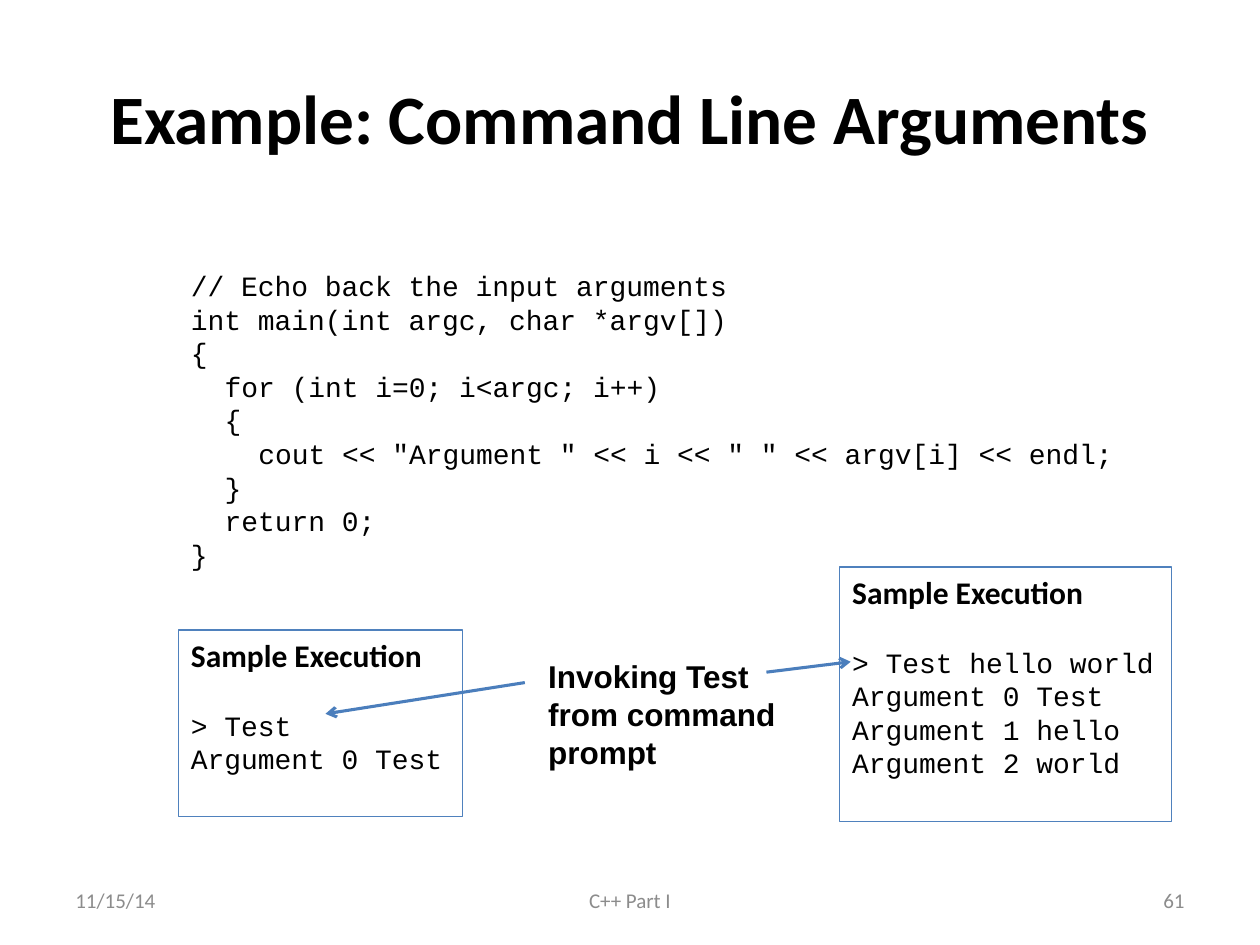
"""Build the slide on echoing command line arguments in C++."""
from lxml import etree
from pptx import Presentation
from pptx.dml.color import RGBColor
from pptx.enum.shapes import MSO_CONNECTOR, MSO_SHAPE
from pptx.enum.text import MSO_ANCHOR, PP_ALIGN
from pptx.oxml.ns import qn
from pptx.util import Cm, Pt

LEFT, MID, RIGHT = PP_ALIGN.LEFT, PP_ALIGN.CENTER, PP_ALIGN.RIGHT
TOP, CENTER = MSO_ANCHOR.TOP, MSO_ANCHOR.MIDDLE
RECT, LINE = MSO_SHAPE.RECTANGLE, MSO_CONNECTOR.STRAIGHT

THEME = {
    "ink": "000000", "gray": "8C8C8C", "edge": "4F81BD", "arrow": "4B7EBC",
    "title": 39.6, "head": 18, "code": 16, "foot": 12,
    "sans": "Calibri", "mono": "Courier New", "note": "Arial",
    "thin": 0.75, "thick": 1.75, "lead": 1.2, "gap": 19.5, "step": 0.68,
}

TITLE = "Example: Command Line Arguments"
CODE = [
    (0, "// Echo back the input arguments"),
    (0, "int main(int argc, char *argv[])"),
    (0, "{"),
    (1, "for (int i=0; i<argc; i++)"),
    (1, "{"),
    (2, 'cout << "Argument " << i << " " << argv[i] << endl;'),
    (1, "}"),
    (1, "return 0;"),
    (0, "}"),
]
HEAD = "Sample Execution"
RUNS = [
    ((3.6, 12.7, 5.72, 3.76), ["> Test", "Argument 0 Test"]),
    ((16.93, 11.43, 6.69, 5.13),
     ["> Test hello world", "Argument 0 Test", "Argument 1 hello", "Argument 2 world"]),
]
NOTE = ["Invoking Test", "from command", "prompt"]
ARROWS = [(10.58, 13.76, 6.56, 14.39), (15.45, 13.55, 17.15, 13.34)]
FEET = [
    (1.27, 5.93, "11/15/14", LEFT),
    (8.68, 8.04, "C++ Part I", MID),
    (18.2, 5.93, "61", RIGHT),
]


def color(name):
    return RGBColor.from_string(THEME[name])


def place(box):
    return [Cm(n) for n in box]


def write(frame, text, size="code", font="mono", ink="ink", bold=False,
          align=LEFT, level=0, lead=None, after=0):
    first = frame.paragraphs[0]
    para = frame.add_paragraph() if first.runs else first
    para.alignment = align
    para.space_after = Pt(after)
    if lead:
        para.line_spacing = Pt(THEME[size] * lead)
    if level:
        para._p.get_or_add_pPr().set("marL", str(Cm(level * THEME["step"])))
    run = para.add_run()
    run.text = text
    run.font.size = Pt(THEME[size])
    run.font.name = THEME[font]
    run.font.bold = bold
    run.font.color.rgb = color(ink)


def area(slide, box, anchor=TOP):
    frame = slide.shapes.add_textbox(*place(box)).text_frame
    frame.word_wrap = True
    frame.vertical_anchor = anchor
    return frame


def panel(slide, box):
    shape = slide.shapes.add_shape(RECT, *place(box))
    shape.shadow.inherit = False
    shape.fill.background()
    shape.line.color.rgb = color("edge")
    shape.line.width = Pt(THEME["thin"])
    frame = shape.text_frame
    frame.word_wrap = True
    frame.vertical_anchor = TOP
    return frame


def arrow(slide, ends):
    link = slide.shapes.add_connector(LINE, *place(ends))
    link.line.color.rgb = color("arrow")
    link.line.width = Pt(THEME["thick"])
    etree.SubElement(link.line._get_or_add_ln(), qn("a:tailEnd"), type="arrow")
    etree.SubElement(link._element.spPr, qn("a:effectLst"))


def main():
    deck = Presentation()
    deck.slide_width, deck.slide_height = Cm(25.4), Cm(19.05)
    slide = deck.slides.add_slide(deck.slide_layouts[6])
    lead = THEME["lead"]

    frame = area(slide, (1.27, 0.76, 22.86, 3.18), CENTER)
    write(frame, TITLE, size="title", font="sans", bold=True, align=MID)

    frame = area(slide, (3.6, 5.29, 19.39, 7.09))
    for level, text in CODE:
        write(frame, text, level=level, lead=lead)

    for box, lines in RUNS:
        frame = panel(slide, box)
        write(frame, HEAD, size="head", font="sans", bold=True, after=THEME["gap"])
        for text in lines:
            write(frame, text, lead=lead)

    frame = area(slide, (10.8, 13.12, 5.33, 2.57))
    for text in NOTE:
        write(frame, text, size="head", font="note", bold=True, lead=lead)

    for ends in ARROWS:
        arrow(slide, ends)

    for left, width, text, align in FEET:
        frame = area(slide, (left, 17.65, width, 1.01), CENTER)
        write(frame, text, size="foot", font="sans", ink="gray", align=align)

    deck.save("out.pptx")


if __name__ == "__main__":
    main()
